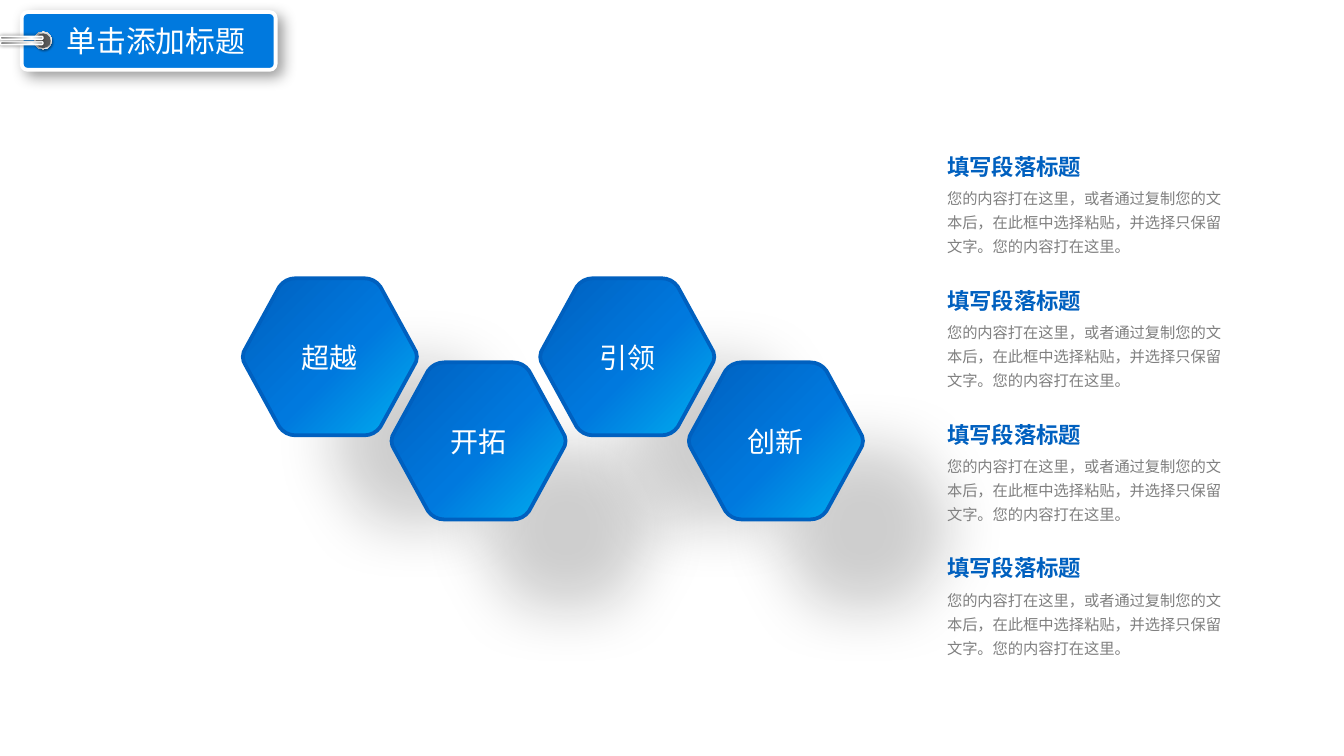
from dataclasses import dataclass

from lxml import etree
from pptx import Presentation
from pptx import util as u
from pptx.dml import color
from pptx.enum import shapes, text
from pptx.oxml import ns


@dataclass(frozen=True)
class Theme:
    font: str = "Noto Sans CJK SC"
    white: str = "FFFFFF"
    blue: str = "0079DE"
    deep_blue: str = "0060BF"
    gray: str = "808080"
    hole: str = "595959"
    title_size: float = 16
    label_size: float = 15
    heading_size: float = 12
    body_size: float = 8.2
    tile_stops: tuple = ((0, "00B0F0"), (45, "0079DE"), (100, "0060BF"))
    ring_stops: tuple = ((0, "FFFFFF"), (17, "A6A6A6"), (35, "F2F2F2"),
                         (55, "A6A6A6"), (75, "F2F2F2"), (100, "A6A6A6"))
    rod_stops: tuple = ((0, "808080"), (23, "A6A6A6"), (52, "D9D9D9"),
                        (74, "FFFFFF"), (100, "A6A6A6"))


THEME = Theme()
LABELS = ["超越", "开拓", "引领", "创新"]
HEADING = "填写段落标题"
BODY = "您的内容打在这里，或者通过复制您的文本后，在此框中选择粘贴，并选择只保留文字。您的内容打在这里。"
TILE_WIDTH, TILE_HEIGHT = 3.33, 2.97
TOP_CORNER = [(2.31, 0), (2.44, 0), (2.55, 0.06), (2.62, 0.16)]
SIDE_CORNER = [(3.25, 1.31), (3.33, 1.42), (3.33, 1.55), (3.25, 1.66)]


def rgb(value):
    return color.RGBColor.from_string(value)


def add_node(parent, tag, **attributes):
    return etree.SubElement(parent, ns.qn(tag), attributes)


def fill_solid(shape, value):
    shape.fill.solid()
    shape.fill.fore_color.rgb = rgb(value)


def fill_gradient(shape, stops, angle):
    shape.fill.gradient()
    shape.fill.gradient_angle = 360 - angle
    stop_list = shape._element.spPr.find(".//" + ns.qn("a:gsLst"))
    for stop in list(stop_list):
        stop_list.remove(stop)
    for position, value in stops:
        stop = add_node(stop_list, "a:gs", pos=str(position * 1000))
        add_node(stop, "a:srgbClr", val=value)


def set_line(shape, value=None, width=0):
    if value is None:
        shape.line.fill.background()
    else:
        shape.line.color.rgb = rgb(value)
        shape.line.width = u.Pt(width)


def add_shadow(shape, value, opacity, blur, distance, angle):
    effects = shape._element.spPr.find(ns.qn("a:effectLst"))
    shadow = add_node(effects, "a:outerShdw", blurRad=str(u.Pt(blur)),
                      dist=str(u.Pt(distance)), dir=str(angle * 60000),
                      algn="ctr", rotWithShape="0")
    shade = add_node(shadow, "a:srgbClr", val=value)
    add_node(shade, "a:alpha", val=str(opacity * 1000))


def add_preset(parent, kind, left, top, width, height, turn=0, rounding=None):
    shape = parent.shapes.add_shape(
        kind, u.Cm(left), u.Cm(top), u.Cm(width), u.Cm(height))
    shape.shadow.inherit = False
    shape.rotation = turn
    if rounding is not None:
        shape.adjustments[0] = rounding
    set_line(shape)
    return shape


def write_text(frame, words, size, value, align=text.PP_ALIGN.LEFT,
               spacing=None, bold=False):
    para = frame.paragraphs[0]
    para.add_run().text = words
    para.alignment = align
    if spacing:
        para.line_spacing = spacing
    para.font.name = THEME.font
    para.font.size = u.Pt(size)
    para.font.bold = bold
    para.font.color.rgb = rgb(value)
    defaults = para._p.pPr.find(ns.qn("a:defRPr"))
    add_node(defaults, "a:ea", typeface=THEME.font)


def add_text(page, left, top, width, height, words, size, value,
             wrap=True, padding=0.13, **style):
    box = page.shapes.add_textbox(
        u.Cm(left), u.Cm(top), u.Cm(width), u.Cm(height))
    frame = box.text_frame
    frame.word_wrap = wrap
    frame.auto_size = text.MSO_AUTO_SIZE.SHAPE_TO_FIT_TEXT
    frame.margin_top = frame.margin_bottom = u.Cm(padding)
    write_text(frame, words, size, value, **style)


def round_corners(shape):
    path = shape._element.spPr.find(".//" + ns.qn("a:path"))
    segments = path.findall(ns.qn("a:lnTo"))
    for start in range(0, len(segments), 4):
        curve = etree.Element(ns.qn("a:cubicBezTo"))
        segments[start].addprevious(curve)
        for segment in segments[start:start + 3]:
            curve.append(segment[0])
            path.remove(segment)


def add_tile(page, left, top, label):
    lower = [(x, TILE_HEIGHT - y) for x, y in reversed(TOP_CORNER)]
    right_half = TOP_CORNER + SIDE_CORNER + lower
    left_half = [(TILE_WIDTH - x, TILE_HEIGHT - y) for x, y in right_half]
    points = [(u.Cm(left + x), u.Cm(top + y)) for x, y in right_half + left_half]
    builder = page.shapes.build_freeform(*points[0])
    builder.add_line_segments(points[1:], close=True)
    tile = builder.convert_to_shape()
    round_corners(tile)
    tile.shadow.inherit = False
    fill_gradient(tile, THEME.tile_stops, 225)
    set_line(tile, THEME.deep_blue, 2)
    add_shadow(tile, "0D0D0D", 20, 33, 66, 45)
    frame = tile.text_frame
    frame.word_wrap = True
    frame.vertical_anchor = text.MSO_ANCHOR.MIDDLE
    frame.margin_left = frame.margin_right = u.Cm(0.18)
    frame.margin_top = frame.margin_bottom = u.Cm(0.1)
    write_text(frame, label, THEME.label_size, THEME.white,
               align=text.PP_ALIGN.CENTER)


def add_title_tag(page):
    rounded, oval = shapes.MSO_SHAPE.ROUNDED_RECTANGLE, shapes.MSO_SHAPE.OVAL
    tag = add_preset(page, rounded, 0.41, 0.23, 4.8, 1.09, rounding=0.1)
    fill_solid(tag, THEME.blue)
    set_line(tag, THEME.white, 2)
    add_shadow(tag, "000000", 40, 8, 4, 45)

    eyelet = page.shapes.add_group_shape()
    ring = add_preset(eyelet, oval, 0.65, 0.6, 0.33, 0.33, turn=270)
    fill_gradient(ring, THEME.ring_stops, 45)
    add_shadow(ring, "000000", 40, 1, 1, 45)
    hole = add_preset(eyelet, oval, 0.68, 0.63, 0.28, 0.28, turn=270)
    fill_solid(hole, THEME.hole)

    pin = page.shapes.add_group_shape()
    for top in (0.41, 0.31):
        rod = add_preset(pin, rounded, 0.38, top, 0.06, 0.81, turn=270, rounding=0.5)
        fill_gradient(rod, THEME.rod_stops, 90)
        set_line(rod, THEME.white, 0.75)
        add_shadow(rod, "000000", 40, 2, 0, 0)

    add_text(page, 0.69, 0.3, 4.52, 0.94, "单击添加标题", THEME.title_size,
             THEME.white, align=text.PP_ALIGN.CENTER)


def add_section(page, left, top):
    add_text(page, left, top + 0.71, 5.84, 1.63, BODY, THEME.body_size,
             THEME.gray, spacing=1.3)
    add_text(page, left, top, 3.07, 0.76, HEADING, THEME.heading_size,
             THEME.deep_blue, wrap=False, padding=0, spacing=1.5, bold=True)


def main():
    deck = Presentation()
    deck.slide_width, deck.slide_height = u.Cm(25.4), u.Cm(14.29)
    page = deck.slides.add_slide(deck.slide_layouts[6])
    add_title_tag(page)
    for index, label in enumerate(LABELS):
        add_tile(page, 4.57 + 2.81 * index, 5.26 + 1.59 * (index % 2), label)
    for index in range(4):
        add_section(page, 17.65, 2.64 + 2.53 * index)
    deck.save("out.pptx")


if __name__ == "__main__":
    main()
